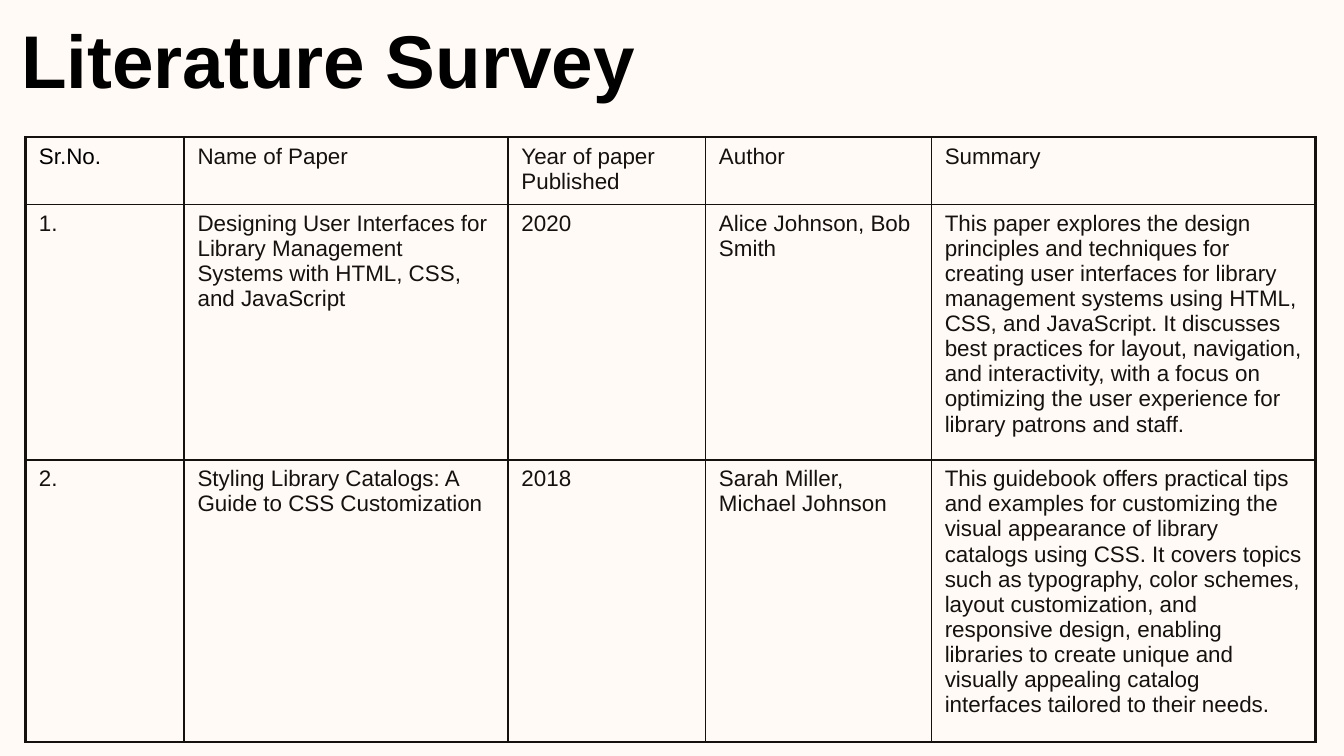
from lxml import etree
from pptx import Presentation
from pptx import util as u
from pptx.dml.color import RGBColor
from pptx.oxml import ns

CREAM = RGBColor(0xFF, 0xFA, 0xF6)
INK = RGBColor(0x15, 0x11, 0x0E)
BLACK = RGBColor(0, 0, 0)
FONT = "Arial"
THIN, THICK = 1, 1.5

WIDTH = 10
HEIGHT = WIDTH * 9 / 16
COLUMNS = (1.18, 2.41, 1.47, 1.68, 2.86)
ROWS = (0.49, 1.83, 2.03)
PAPERS = (
    ("Sr.No.", "Name of Paper", "Year of paper Published", "Author", "Summary"),
    (
        "1.",
        "Designing User Interfaces for Library Management Systems with HTML, CSS, and JavaScript",
        "2020",
        "Alice Johnson, Bob Smith",
        "This paper explores the design principles and techniques for creating user interfaces "
        "for library management systems using HTML, CSS, and JavaScript. It discusses best "
        "practices for layout, navigation, and interactivity, with a focus on optimizing the "
        "user experience for library patrons and staff.",
    ),
    (
        "2.",
        "Styling Library Catalogs: A Guide to CSS Customization",
        "2018",
        "Sarah Miller, Michael Johnson",
        "This guidebook offers practical tips and examples for customizing the visual appearance "
        "of library catalogs using CSS. It covers topics such as typography, color schemes, "
        "layout customization, and responsive design, enabling libraries to create unique and "
        "visually appealing catalog interfaces tailored to their needs.",
    ),
)


def format_text(text_frame, size, color, bold=False):
    """Apply one font to every run of a text frame."""
    for paragraph in text_frame.paragraphs:
        for run in paragraph.runs:
            run.font.name = FONT
            run.font.size = u.Pt(size)
            run.font.bold = bold
            run.font.color.rgb = color


def set_borders(cell, widths):
    """Draw the left, right, top and bottom borders of a cell."""
    properties = cell._tc.get_or_add_tcPr()
    for index, (side, width) in enumerate(zip("LRTB", widths)):
        line = etree.Element(ns.qn(f"a:ln{side}"), w=str(u.Pt(width)))
        fill = etree.SubElement(line, ns.qn("a:solidFill"))
        etree.SubElement(fill, ns.qn("a:srgbClr"), val=str(INK))
        properties.insert(index, line)


def add_title(slide, box, title):
    """Place the bold heading in the given box."""
    text_frame = slide.shapes.add_textbox(*map(u.Inches, box)).text_frame
    text_frame.word_wrap = True
    text_frame.margin_left = text_frame.margin_right = u.Inches(0.1)
    text_frame.margin_top = text_frame.margin_bottom = u.Inches(0.1)
    text_frame.text = title
    format_text(text_frame, 40, BLACK, bold=True)


def add_survey(slide, box, papers):
    """Fill the given box with the bordered table of papers."""
    left, top, width, height = box
    frame = slide.shapes.add_table(len(ROWS), len(COLUMNS), *map(u.Inches, box))
    table = frame.table
    table.first_row = table.horz_banding = False
    for column, share in zip(table.columns, COLUMNS):
        column.width = u.Inches(width * share / sum(COLUMNS))
    for row, share in zip(table.rows, ROWS):
        row.height = u.Inches(height * share / sum(ROWS))
    last = len(COLUMNS) - 1
    for r, paper in enumerate(papers):
        for c, words in enumerate(paper):
            cell = table.cell(r, c)
            cell.fill.background()
            cell.text_frame.text = words
            format_text(cell.text_frame, 12, BLACK if r == c == 0 else INK)
            outer = (c == 0, c == last, r == 0, False)
            set_borders(cell, [THICK if edge else THIN for edge in outer])


def main():
    """Build and save the literature survey slide."""
    presentation = Presentation()
    presentation.slide_width = u.Inches(WIDTH)
    presentation.slide_height = u.Inches(HEIGHT)
    slide = presentation.slides.add_slide(presentation.slide_layouts[6])
    slide.background.fill.solid()
    slide.background.fill.fore_color.rgb = CREAM
    add_title(slide, (0.06, 0, 6.48, 0.86), "Literature Survey")
    add_survey(slide, (0.19, 1.02, sum(COLUMNS), sum(ROWS)), PAPERS)
    presentation.save("out.pptx")


if __name__ == "__main__":
    main()
